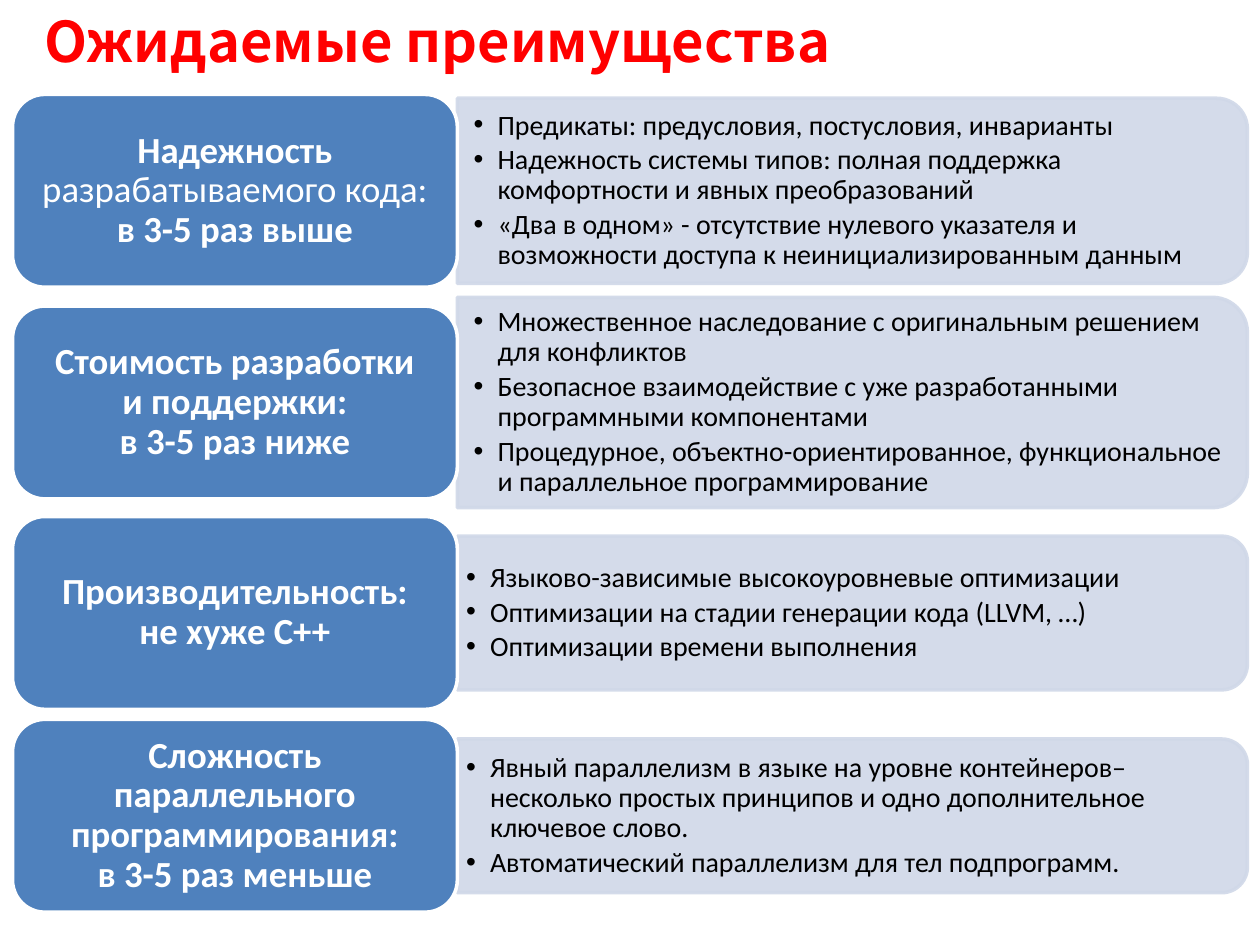
from lxml import etree
from pptx import Presentation
from pptx.dml.color import RGBColor
from pptx.enum import shapes, text
from pptx.oxml import ns
from pptx.util import Inches, Pt

RED = RGBColor(0xFF, 0x00, 0x00)
BLUE = RGBColor(0x4F, 0x81, 0xBD)
PALE = RGBColor(0xD0, 0xD8, 0xE8)
WHITE = RGBColor(0xFF, 0xFF, 0xFF)
BLACK = RGBColor(0x00, 0x00, 0x00)

# Content: label lines as (text, bold) runs, then the bullets
TITLE = "Ожидаемые преимущества"
ROWS = [
    {"label": [[("Надежность ", True), ("разрабатываемого кода:", False)],
               [("в 3-5 раз выше", True)]],
     "bullets": ["Предикаты: предусловия, постусловия, инварианты",
                 "Надежность системы типов: полная поддержка комфортности и явных преобразований",
                 "«Два в одном» - отсутствие нулевого указателя и возможности доступа "
                 "к неинициализированным данным"],
     "top": 0.75, "panel_h": 1.47, "inset": (0.13, 0.07)},
    {"label": [[("Стоимость разработки", True)], [("и поддержки:", True)],
               [("в 3-5 раз ниже", True)]],
     "bullets": ["Множественное наследование с оригинальным решением для конфликтов",
                 "Безопасное взаимодействие с уже разработанными программными компонентами",
                 "Процедурное, объектно-ориентированное, функциональное и параллельное "
                 "программирование"],
     "top": 2.43, "panel_h": 1.67, "inset": (0.13, 0.07)},
    {"label": [[("Производительность:", True)], [("не хуже C++", True)]],
     "bullets": ["Языково-зависимые высокоуровневые оптимизации",
                 "Оптимизации на стадии генерации кода (LLVM, …)",
                 "Оптимизации времени выполнения"],
     "top": 4.1, "panel_h": 1.22, "inset": (0.07, 0.03)},
    {"label": [[("Сложность параллельного программирования:", True)],
               [("в 3-5 раз меньше", True)]],
     "bullets": ["Явный параллелизм в языке на уровне контейнеров– несколько простых "
                 "принципов и одно дополнительное ключевое слово.",
                 "Автоматический параллелизм для тел подпрограмм."],
     "top": 5.71, "panel_h": 1.22, "inset": (0.07, 0.03)},
]

LABEL_X, LABEL_W, LABEL_H = 0.1, 3.53, 1.53
PANEL_X, PANEL_W = LABEL_X + LABEL_W, 6.27
INDENT = 0.19

TITLE_FONT = {"name": "Noto Sans CJK KR", "size": Pt(32), "bold": True}
LABEL_FONT = {"name": "Calibri", "size": Pt(21)}
BULLET_FONT = {"name": "Calibri", "size": Pt(16)}


def set_font(font, formats, color):
    for name, value in formats.items():
        setattr(font, name, value)
    font.color.rgb = color


def set_frame(tf, dx, dy):
    frame = {"word_wrap": True, "vertical_anchor": text.MSO_ANCHOR.MIDDLE,
             "margin_left": Inches(dx), "margin_right": Inches(dx),
             "margin_top": Inches(dy), "margin_bottom": Inches(dy)}
    for name, value in frame.items():
        setattr(tf, name, value)


def add_box(s, kind, x, y, w, h, fill, line):
    sp = s.shapes.add_shape(kind, Inches(x), Inches(y), Inches(w), Inches(h))
    sp.shadow.inherit = False
    sp.fill.solid()
    sp.fill.fore_color.rgb = fill
    sp.line.color.rgb = line
    sp.line.width = Pt(2)
    return sp


def add_panel(s, middle, height):
    # The shape is turned by 90 degrees, so its width is the panel's height
    sp = add_box(s, shapes.MSO_SHAPE.ROUND_2_SAME_RECTANGLE,
                 PANEL_X + (PANEL_W - height) / 2, middle - PANEL_W / 2,
                 height, PANEL_W, PALE, PALE)
    sp.rotation = 90
    for color in sp._element.spPr.iter(ns.qn("a:srgbClr")):
        etree.SubElement(color, ns.qn("a:alpha"), val="90000")


def add_bullets(s, items, middle, height, inset):
    h = height - 0.14
    tb = s.shapes.add_textbox(Inches(PANEL_X), Inches(middle - h / 2),
                              Inches(PANEL_W - 0.07), Inches(h))
    tf = tb.text_frame
    set_frame(tf, *inset)
    for i, item in enumerate(items):
        p = tf.paragraphs[0] if i == 0 else tf.add_paragraph()
        pPr = p._p.get_or_add_pPr()
        pPr.set("marL", str(Inches(INDENT)))
        pPr.set("indent", str(-Inches(INDENT)))
        etree.SubElement(pPr, ns.qn("a:buFont"), typeface="Arial")
        etree.SubElement(pPr, ns.qn("a:buChar"), char="•")
        p.line_spacing = 0.9
        p.space_before = Pt(2.5 if i else 0)
        r = p.add_run()
        r.text = item
        set_font(r.font, BULLET_FONT, BLACK)


def add_label(s, lines, top):
    sp = add_box(s, shapes.MSO_SHAPE.ROUNDED_RECTANGLE, LABEL_X, top,
                 LABEL_W, LABEL_H, BLUE, WHITE)
    set_frame(sp.text_frame, 0.09, 0.04)
    p = sp.text_frame.paragraphs[0]
    p.alignment = text.PP_ALIGN.CENTER
    p.line_spacing = 0.9
    for i, line in enumerate(lines):
        if i:
            p.add_line_break()
        for words, bold in line:
            r = p.add_run()
            r.text = words
            set_font(r.font, {**LABEL_FONT, "bold": bold}, WHITE)


def main():
    prs = Presentation()
    prs.slide_width, prs.slide_height = Inches(10), Inches(7.5)
    s = prs.slides.add_slide(prs.slide_layouts[5])

    # Title
    title = s.shapes.title
    title.left, title.top = Inches(0.25), Inches(0)
    title.width, title.height = Inches(8.62), Inches(0.64)
    set_frame(title.text_frame, 0.1, 0.05)
    title.text_frame.auto_size = text.MSO_AUTO_SIZE.NONE
    p = title.text_frame.paragraphs[0]
    p.alignment = text.PP_ALIGN.LEFT
    r = p.add_run()
    r.text = TITLE
    set_font(r.font, TITLE_FONT, RED)

    # Rows: panel, its bullets and the label, all on one middle line
    for row in ROWS:
        middle = row["top"] + LABEL_H / 2
        add_panel(s, middle, row["panel_h"])
        add_bullets(s, row["bullets"], middle, row["panel_h"], row["inset"])
        add_label(s, row["label"], row["top"])

    prs.save("out.pptx")


if __name__ == "__main__":
    main()
